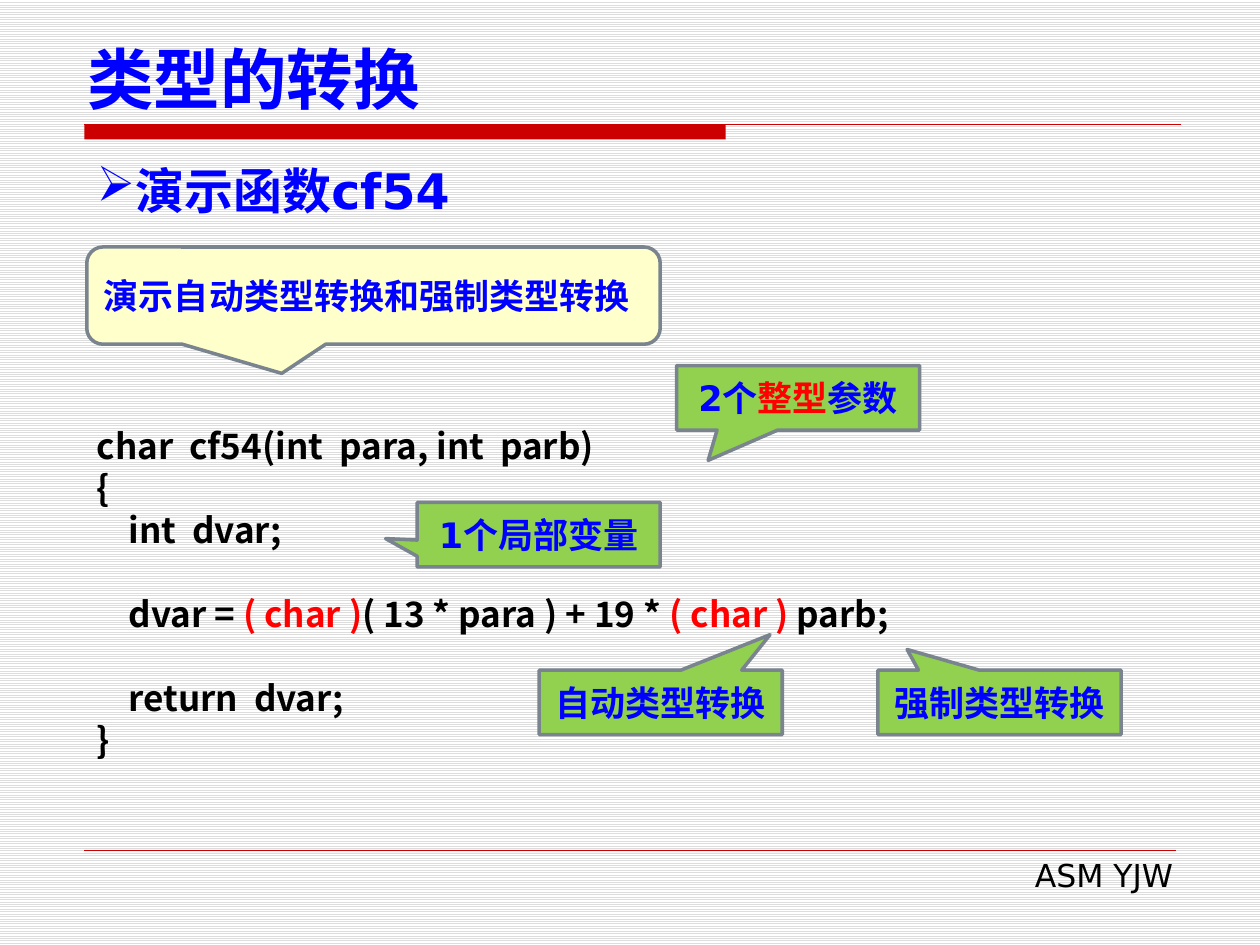
from lxml import etree
from pptx import Presentation
from pptx.dml.color import RGBColor
from pptx.enum.dml import MSO_PATTERN
from pptx.enum.shapes import MSO_CONNECTOR, MSO_SHAPE
from pptx.enum.text import MSO_ANCHOR, PP_ALIGN
from pptx.oxml.ns import qn
from pptx.util import Cm, Pt

STRAIGHT = MSO_CONNECTOR.STRAIGHT
RECT = MSO_SHAPE.RECTANGLE
CALLOUT = MSO_SHAPE.RECTANGULAR_CALLOUT
ROUND_CALLOUT = MSO_SHAPE.ROUNDED_RECTANGULAR_CALLOUT
LEFT, CENTER, RIGHT, JUSTIFY = (
    PP_ALIGN.LEFT, PP_ALIGN.CENTER, PP_ALIGN.RIGHT, PP_ALIGN.JUSTIFY)
MIDDLE, BOTTOM = MSO_ANCHOR.MIDDLE, MSO_ANCHOR.BOTTOM
SANS, CJK = "DejaVu Sans", "Noto Sans CJK SC"
BLUE, RED, BLACK = "0000FF", "FF0000", "000000"
RULE, GREEN, CREAM, OUTLINE = "CC0000", "92D050", "FFFFCC", "79848F"

CODE = [
    (0, [("char  cf54(int  para, int  parb)", BLACK)]),
    (0, [("{", BLACK)]),
    (0, [("    int  dvar;", BLACK)]),
    (1, [("    dvar = ", BLACK), ("( char )", RED),
         ("( 13 * para ) + 19 * ", BLACK), ("( char ) ", RED),
         ("parb;", BLACK)]),
    (1, [("    return  dvar;", BLACK)]),
    (0, [("}", BLACK)]),
]
NOTES = [
    (13.64, 7.37, (-0.37, 0.97), [("2个", BLUE), ("整型", RED), ("参数", BLUE)]),
    (8.41, 10.13, (-0.63, 0.06), [("1个局部变量", BLUE)]),
    (17.7, 13.51, (-0.38, -0.82), [("强制类型转换", BLUE)]),
    (10.87, 13.51, (0.45, -1.05), [("自动类型转换", BLUE)]),
]


def rgb(value):
    """Turn a hex string into a colour."""
    return RGBColor.from_string(value)


def cm(*values):
    """Turn numbers into lengths in centimetres."""
    return [Cm(v) for v in values]


def add_runs(p, runs, size, font=SANS, bold=True, align=LEFT):
    """Add (text, colour) runs to a paragraph."""
    p.alignment = align
    for text, color in runs:
        r = p.add_run()
        r.text = text
        r.font.size, r.font.bold, r.font.name = Pt(size), bold, font
        r.font.color.rgb = rgb(color)
        ea = etree.SubElement(r.font._element, qn("a:ea"))
        ea.set("typeface", CJK)


def add_box(slide, box):
    """Add a wrapping text box and return its text frame."""
    tf = slide.shapes.add_textbox(*cm(*box)).text_frame
    tf.word_wrap = True
    return tf


def add_rule(slide, x, y, width, weight):
    """Draw a horizontal red line."""
    s = slide.shapes.add_connector(STRAIGHT, *cm(x, y, x + width, y))
    s.line.color.rgb, s.line.width = rgb(RULE), Pt(weight)
    etree.SubElement(s._element.spPr, qn("a:effectLst"))


def add_header(slide, x, y, width):
    """Place the title above its red bar and rule."""
    bar = slide.shapes.add_shape(RECT, *cm(x, y, 12.93, 0.3))
    bar.shadow.inherit = False
    bar.fill.solid()
    bar.fill.fore_color.rgb = rgb(RULE)
    bar.line.fill.background()
    add_rule(slide, x, y, width, 0.75)
    title = slide.shapes.title
    title.left, title.top, title.width, title.height = cm(
        x - 0.2, y - 1.8, width + 0.9, 1.8)
    title.text_frame.vertical_anchor = BOTTOM
    add_runs(title.text_frame.paragraphs[0], [("类型的转换", BLUE)], 38)


def add_heading(slide, box):
    """Place the bulleted heading."""
    p = add_box(slide, box).paragraphs[0]
    bullet = etree.SubElement(p._p.get_or_add_pPr(), qn("a:buChar"))
    bullet.set("char", "➢")
    add_runs(p, [("演示函数cf54", BLUE)], 28, align=JUSTIFY)


def add_code(slide, box):
    """Place the code listing, with its gaps as paragraph spacing."""
    tf = add_box(slide, box)
    for i, (gap, runs) in enumerate(CODE):
        p = tf.add_paragraph() if i else tf.paragraphs[0]
        p.line_spacing = Pt(24)
        p.space_before = Pt(24 * gap)
        add_runs(p, runs, 20, CJK)


def add_callout(slide, kind, box, tail, fill, runs, font=SANS, align=CENTER):
    """Place one callout with its tail at the given adjustments."""
    s = slide.shapes.add_shape(kind, *cm(*box))
    s.shadow.inherit = False
    s.adjustments[0], s.adjustments[1] = tail
    s.fill.solid()
    s.fill.fore_color.rgb = rgb(fill)
    s.line.color.rgb, s.line.width = rgb(OUTLINE), Pt(2)
    tf = s.text_frame
    tf.word_wrap, tf.vertical_anchor = True, MIDDLE
    add_runs(tf.paragraphs[0], runs, 20, font, align=align)


def add_footer(slide, x, y, width):
    """Place the thin rule and the author line."""
    add_rule(slide, x, y, width, 0.25)
    p = add_box(slide, (x + 8, y, width - 7.8, 1.02)).paragraphs[0]
    add_runs(p, [("ASM YJW", BLACK)], 18, bold=False, align=RIGHT)


def main():
    """Build and save the slide."""
    prs = Presentation()
    prs.slide_width, prs.slide_height = cm(25.4, 19.05)
    slide = prs.slides.add_slide(prs.slide_layouts[5])
    fill = slide.background.fill
    fill.patterned()
    fill.pattern = MSO_PATTERN.LIGHT_HORIZONTAL
    fill.fore_color.rgb, fill.back_color.rgb = rgb("DDDDDD"), rgb("FFFFFF")
    add_header(slide, 1.7, 2.51, 22.1)
    add_footer(slide, 1.7, 17.14, 22)
    add_heading(slide, (1.7, 3.12, 22, 1.45))
    add_code(slide, (1.7, 8.43, 19.81, 7.09))
    add_callout(slide, ROUND_CALLOUT, (1.75, 4.98, 11.56, 1.96), (-0.16, 0.8),
                CREAM, [("演示自动类型转换和强制类型转换", BLUE)], CJK, LEFT)
    for x, y, tail, runs in NOTES:
        add_callout(slide, CALLOUT, (x, y, 4.9, 1.3), tail, GREEN, runs)
    prs.save("out.pptx")


if __name__ == "__main__":
    main()
